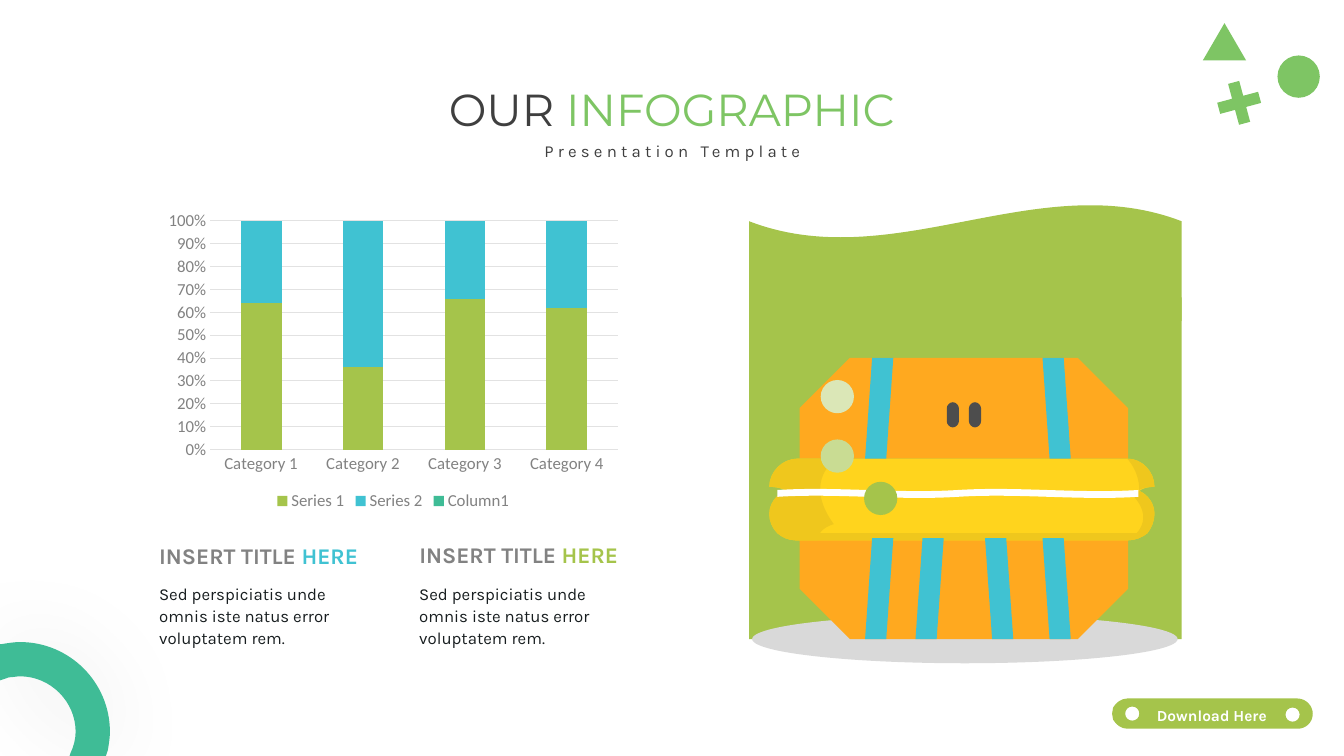
from lxml.etree import SubElement
from pptx import Presentation
from pptx.chart.data import CategoryChartData
from pptx.dml.color import RGBColor
from pptx.enum.chart import XL_CHART_TYPE as Chart, XL_LEGEND_POSITION as Legend, XL_TICK_MARK as Tick
from pptx.enum.shapes import MSO_SHAPE as Preset
from pptx.enum.text import MSO_ANCHOR as Anchor, MSO_AUTO_SIZE as AutoSize, PP_ALIGN as Align
from pptx.oxml.ns import qn
from pptx.util import Inches, Pt

LIME, AQUA, TEAL, LEAF = "A5C44B", "40C2D2", "3FBC96", "7EC564"
ORANGE, YELLOW, GOLD = "FFA91F", "FFD41D", "EFC71D"
DARK, GREY, PALE, INK, WHITE = "3F3F3F", "828282", "E2E2E2", "181E20", "FFFFFF"

deck = Presentation()
deck.slide_width, deck.slide_height = Inches(13.33), Inches(7.5)
CELL = deck.slide_width // 1333
page = deck.slides.add_slide(deck.slide_layouts[5])


def paint(fill, color):
    fill.solid()
    fill.fore_color.rgb = RGBColor.from_string(color)


def write(spans, at, size, font="Karla", bold=False, align=Align.LEFT,
          leading=None, tracking=0, wrap=True, box=None):
    left, top, width, height = [n * CELL for n in at]
    box = box or page.shapes.add_textbox(left, top, width, height)
    box.left, box.top, box.width, box.height = left, top, width, height
    frame = box.text_frame
    frame.auto_size = AutoSize.NONE
    frame.word_wrap = wrap
    frame.vertical_anchor = Anchor.TOP
    para = frame.paragraphs[0]
    para.alignment = align
    if leading:
        para.line_spacing = leading
    for text, color in spans:
        span = para.add_run()
        span.text = text
        span.font.size, span.font.name, span.font.bold = Pt(size), font, bold
        paint(span.font.fill, color)
        if tracking:
            span._r.get_or_add_rPr().set("spc", str(tracking * 100))


write([("OUR ", DARK), ("INFOGRAPHIC", LEAF)], (378, 76, 577, 64), 32,
      font="Montserrat", align=Align.CENTER, box=page.shapes.title)

belt = [[(1130, 487), (1134, 484, 1139, 483, 1145, 483), (1145, 468, 1133, 455, 1118, 455),
         (791, 455), (776, 455, 763, 468, 763, 483), (770, 483, 775, 484, 780, 487),
         (776, 488, 773, 490, 771, 492), (766, 497, 763, 503, 763, 510),
         (763, 517, 766, 524, 771, 529), (776, 533, 782, 536, 789, 536), (1119, 536),
         (1126, 536, 1133, 533, 1138, 529), (1142, 524, 1145, 517, 1145, 510),
         (1145, 500, 1139, 491, 1130, 487)]]
belt_left = [[(827, 520), (827, 520, 811, 524, 811, 536), (789, 536),
              (775, 536, 763, 525, 763, 510), (763, 503, 766, 497, 771, 492),
              (773, 490, 776, 488, 780, 487), (775, 484, 770, 483, 763, 483),
              (763, 468, 776, 455, 791, 455), (830, 455), (830, 455, 795, 476, 827, 520)]]
belt_base = [[(1138, 529), (1133, 533, 1126, 536, 1119, 536), (789, 536),
              (782, 536, 776, 533, 771, 529), (1138, 529)]]
belt_right = [[(1145, 510), (1145, 517, 1142, 524, 1138, 529), (1133, 533, 1126, 536, 1119, 536),
               (1119, 536, 1149, 519, 1124, 492), (1125, 490, 1127, 488, 1130, 487),
               (1139, 491, 1145, 500, 1145, 510)]]
belt_tip = [[(1145, 483), (1139, 483, 1134, 484, 1130, 486), (1130, 467, 1118, 455, 1118, 455),
             (1133, 455, 1145, 468, 1145, 483)]]
ring = [[(20, 637), (69, 637, 109, 677, 109, 726), (109, 732, 108, 738, 107, 744), (105, 750),
         (69, 750), (70, 747), (73, 741, 75, 733, 75, 726), (75, 696, 50, 671, 20, 671),
         (16, 671, 13, 672, 9, 672), (0, 675), (0, 639), (2, 639), (8, 638, 14, 637, 20, 637)]]
button = [[(x, y - 7), (x - 4, y - 7, x - 7, y - 4, x - 7, y), (x - 7, y + 4, x - 4, y + 7, x, y + 7),
           (x + 4, y + 7, x + 7, y + 4, x + 7, y), (x + 7, y - 4, x + 4, y - 7, x, y - 7)]
          for x, y in ((1282, 709), (1123, 708))]
button.append([(1118, 693), (1287, 693), (1295, 693, 1302, 700, 1302, 708),
               (1302, 717, 1295, 723, 1287, 723), (1118, 723), (1112, 723, 1107, 719, 1104, 714),
               (1103, 708), (1104, 702), (1107, 697, 1112, 693, 1118, 693)])

parts = [
    (Preset.RECTANGLE, (743, 295, 429, 339), LIME, {}),
    (Preset.OVAL, (746, 610, 422, 48), "D9D9D9", {}),
    (Preset.SNIP_2_SAME_RECTANGLE, (793, 355, 326, 100), ORANGE, {"adjust": (0.5, 0)}),
    (Preset.SNIP_2_SAME_RECTANGLE, (793, 534, 326, 100), ORANGE, {"adjust": (0.5, 0), "flip": "flipV"}),
]
for x in (939, 961):
    eye = [[(x + 6, 424), (x + 3, 424, x, 421, x, 418), (x, 405), (x, 402, x + 3, 399, x + 6, 399),
            (x + 9, 399, x + 12, 402, x + 12, 405), (x + 12, 418),
            (x + 12, 421, x + 9, 424, x + 6, 424)]]
    parts.append((eye, None, "4D4D4D", {}))
for outline, color in ((belt, YELLOW), (belt_left, GOLD), (belt_base, GOLD),
                       (belt_right, GOLD), (belt_tip, GOLD)):
    parts.append((outline, None, color, {}))
for row, columns in ((534, (858, 908, 977, 1034)), (355, (858, 1034))):
    for column in columns:
        mirror = {"flip": "flipH"} if column > 956 else {}
        parts.append((Preset.PARALLELOGRAM, (column, row, 28, 100), AQUA, mirror))
parts.append((Preset.DOUBLE_WAVE, (771, 485, 358, 9), WHITE, {"adjust": (0.125, 0)}))
for column, row, color in ((857, 478, LIME), (814, 436, "C9DC93"), (814, 377, "DBE7B7")):
    parts.append((Preset.OVAL, (column, row, 33, 33), color, {}))
parts += [
    (Preset.WAVE, (743, 203, 429, 132), LIME, {"flip": "flipH"}),
    (Preset.OVAL, (1267, 55, 42, 42), LEAF, {}),
    (Preset.ISOSCELES_TRIANGLE, (1193, 23, 43, 37), LEAF, {}),
    (Preset.CROSS, (1208, 81, 42, 42), LEAF, {"adjust": (0.364,), "turn": 345}),
    (ring, None, TEAL, {}),
    (button, None, LIME, {}),
]

for form, at, color, options in parts:
    if at:
        shape = page.shapes.add_shape(form, *[n * CELL for n in at])
    else:
        builder = page.shapes.build_freeform(*form[0][0], scale=CELL)
        for contour in form:
            if contour is not form[0]:
                builder.move_to(*contour[0])
            builder.add_line_segments([pair for step in contour[1:]
                                       for pair in zip(step[::2], step[1::2])], close=True)
        shape = builder.convert_to_shape()
        lines = iter(list(shape._element.iter(qn("a:lnTo"))))
        for step in [step for contour in form for step in contour[1:]]:
            first = next(lines)
            if len(step) == 6:
                curve = first.makeelement(qn("a:cubicBezTo"))
                first.addprevious(curve)
                for line in (first, next(lines), next(lines)):
                    curve.append(line[0])
                    line.getparent().remove(line)
    for index, value in enumerate(options.get("adjust", ())):
        shape.adjustments[index] = value
    if "turn" in options:
        shape.rotation = options["turn"]
    if "flip" in options:
        shape._element.spPr.find(qn("a:xfrm")).set(options["flip"], "1")
    paint(shape.fill, color)
    shape.line.fill.background()
    shape.shadow.inherit = False
    if form is ring:
        effects = shape._element.spPr.find(qn("a:effectLst"))
        glow = SubElement(effects, qn("a:outerShdw"), blurRad=str(Pt(65)), dist="0", dir="0",
                          algn="ctr", rotWithShape="0")
        tone = SubElement(glow, qn("a:srgbClr"), val="000000")
        SubElement(tone, qn("a:alpha"), val="7000")

for column, row, accent in ((148, 533, AQUA), (406, 532, LIME)):
    write([("INSERT TITLE ", GREY), ("HERE", accent)], (column, row, 222, 37), 16, bold=True, wrap=False)
    write([("Sed perspiciatis unde omnis iste natus error voluptatem rem.", INK)],
          (column, 572, 203, 76), 12, leading=1.1)
write([("Presentation Template", DARK)], (503, 131, 328, 32), 12,
      align=Align.CENTER, leading=1.2, tracking=3)
write([("Download Here", WHITE)], (1130, 692, 144, 30), 11,
      bold=True, align=Align.CENTER, leading=1.2)

data = CategoryChartData()
data.categories = [f"Category {n}" for n in range(1, 5)]
data.add_series("Series 1", (64, 36, 66, 62))
data.add_series("Series 2", (36, 64, 34, 38))
data.add_series("Column1", (None,) * 4)
chart = page.shapes.add_chart(Chart.COLUMN_STACKED_100, *[n * CELL for n in (158, 203, 464, 308)], data).chart
chart.has_title = False
chart.has_legend = True
chart.legend.position = Legend.BOTTOM
chart.legend.include_in_layout = False
plot = chart.plots[0]
plot.gap_width, plot.overlap, plot.vary_by_categories = 150, 100, False
for series, color in zip(plot.series, (LIME, AQUA, TEAL)):
    paint(series.format.fill, color)
values, categories = chart.value_axis, chart.category_axis
for font, size, color in ((chart.font, 10, DARK), (chart.legend.font, 12, GREY),
                          (values.tick_labels.font, 12, GREY), (categories.tick_labels.font, 12, GREY)):
    font.size, font.name = Pt(size), "Calibri"
    paint(font.fill, color)
for axis in (values, categories):
    axis.major_tick_mark = axis.minor_tick_mark = Tick.NONE
for line in (categories.format.line, values.major_gridlines.format.line):
    paint(line.fill, PALE)
    line.width = Pt(0.75)
values.format.line.fill.background()
values.tick_labels.number_format = "0%"
values.tick_labels.number_format_is_linked = False

deck.save("out.pptx")
